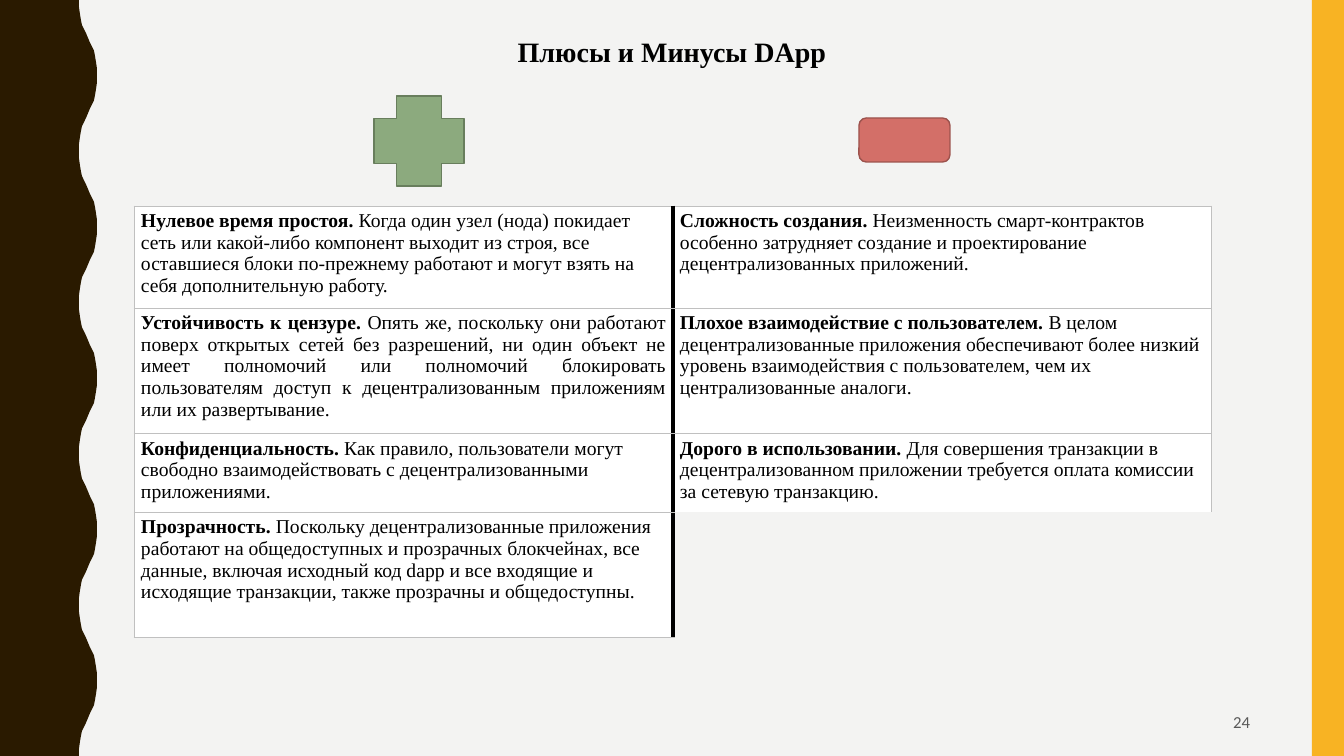
from lxml.etree import SubElement
from pptx import Presentation
from pptx.dml.color import RGBColor
from pptx.enum.shapes import MSO_SHAPE
from pptx.enum.text import MSO_ANCHOR, MSO_AUTO_SIZE, PP_ALIGN
from pptx.oxml.ns import qn
from pptx.util import Emu, Pt

# Content
TITLE = "Плюсы и Минусы DApp"
PAGE_NUMBER = "24"
PROS = [
    ("Нулевое время простоя.", " Когда один узел (нода) покидает сеть или какой-либо компонент выходит из строя, все оставшиеся блоки по-прежнему работают и могут взять на себя дополнительную работу."),
    ("Устойчивость к цензуре. ", "Опять же, поскольку они работают поверх открытых сетей без разрешений, ни один объект не имеет полномочий или полномочий блокировать пользователям доступ к децентрализованным приложениям или их развертывание."),
    ("Конфиденциальность. ", "Как правило, пользователи могут свободно взаимодействовать с децентрализованными приложениями."),
    ("Прозрачность. ", "Поскольку децентрализованные приложения работают на общедоступных и прозрачных блокчейнах, все данные, включая исходный код dapp и все входящие и исходящие транзакции, также прозрачны и общедоступны."),
]
CONS = [
    ("Сложность создания. ", "Неизменность смарт-контрактов особенно затрудняет создание и проектирование децентрализованных приложений."),
    ("Плохое взаимодействие с пользователем. ", "В целом децентрализованные приложения обеспечивают более низкий уровень взаимодействия с пользователем, чем их централизованные аналоги."),
    ("Дорого в использовании. ", "Для совершения транзакции в децентрализованном приложении требуется оплата комиссии за сетевую транзакцию."),
]
JUSTIFIED_ROW = 1

# Geometry in px
WIDTH, HEIGHT = 1344, 756
SCALE = 12192000 / WIDTH
ROW_HEIGHTS = [102, 125, 78, 125]
COLUMN_WIDTH = 539
WAVE_COUNT = 5
WAVE_QUARTER = [(79, 0), (79, 7), (80, 14), (81, 20), (82, 25), (84, 29), (86, 33)]
WAVE_MIDDLE = 88
SERIF = "Times New Roman"
GRID_LINE = ("C0C0C0", 0.75)
DIVIDER = ("000000", 3)


def px(value):
    return Emu(round(value * SCALE))


def box(left, top, width, height):
    return px(left), px(top), px(width), px(height)


def color(value):
    return RGBColor.from_string(value)


def paint(shape, fill, line=None):
    shape.shadow.inherit = False
    shape.fill.solid()
    shape.fill.fore_color.rgb = color(fill)
    if line:
        shape.line.color.rgb = color(line)
        shape.line.width = Pt(1)
    else:
        shape.line.fill.background()


def format_run(run, font_name, size, font_color, bold=False):
    run.font.name = font_name
    run.font.size = Pt(size)
    run.font.color.rgb = color(font_color)
    run.font.bold = bold


def set_borders(cell, left, right, top, bottom):
    properties = cell._tc.get_or_add_tcPr()
    for tag, border in zip(("lnL", "lnR", "lnT", "lnB"), (left, right, top, bottom)):
        line = SubElement(properties, qn(f"a:{tag}"))
        if border:
            line.set("w", str(Pt(border[1])))
            fill = SubElement(line, qn("a:solidFill"))
            SubElement(fill, qn("a:srgbClr")).set("val", border[0])
        else:
            SubElement(line, qn("a:noFill"))


def wave_edge():
    """Points of the wavy edge from top to bottom, in px."""
    period = HEIGHT / WAVE_COUNT
    half = period / 2
    rising = WAVE_QUARTER + [(WAVE_MIDDLE, half / 2)]
    rising += [(2 * WAVE_MIDDLE - x, half - y) for x, y in reversed(WAVE_QUARTER)]
    wave = rising + [(x, period - y) for x, y in reversed(rising[:-1])]
    return [(x, y + period * i) for i in range(WAVE_COUNT) for x, y in wave]


def add_decoration(slide):
    slide.background.fill.solid()
    slide.background.fill.fore_color.rgb = color("F3F3F2")
    builder = slide.shapes.build_freeform(0, 0)
    outline = wave_edge() + [(0, HEIGHT)]
    builder.add_line_segments([(px(x), px(y)) for x, y in outline], close=True)
    paint(builder.convert_to_shape(), "2A1A00")
    side_bar = slide.shapes.add_shape(MSO_SHAPE.RECTANGLE, *box(1312, 0, 32, HEIGHT))
    paint(side_bar, "F8B323")


def add_title(slide):
    title = slide.shapes.title
    title.left, title.top, title.width, title.height = box(0, 29, WIDTH, 44)
    frame = title.text_frame
    frame.text = TITLE
    frame.auto_size = MSO_AUTO_SIZE.NONE
    frame.vertical_anchor = MSO_ANCHOR.TOP
    paragraph = frame.paragraphs[0]
    paragraph.alignment = PP_ALIGN.CENTER
    format_run(paragraph.runs[0], SERIF, 20, "000000", True)


def add_page_number(slide):
    frame = slide.shapes.add_textbox(*box(950, 703, 310, 38)).text_frame
    frame.word_wrap = True
    frame.vertical_anchor = MSO_ANCHOR.MIDDLE
    frame.text = PAGE_NUMBER
    frame.paragraphs[0].alignment = PP_ALIGN.RIGHT
    format_run(frame.paragraphs[0].runs[0], "Calibri", 12, "595959")


def add_signs(slide):
    plus = slide.shapes.add_shape(MSO_SHAPE.CROSS, *box(374, 96, 90, 90))
    paint(plus, "8CAA7E", "687E5D")
    minus = slide.shapes.add_shape(MSO_SHAPE.ROUNDED_RECTANGLE, *box(859, 118, 91, 44))
    paint(minus, "D36F68", "9C524D")


def fill_cell(cell, heading, body):
    cell.fill.solid()
    cell.fill.fore_color.rgb = color("FFFFFF")
    cell.margin_left = cell.margin_right = px(7)
    cell.margin_top = cell.margin_bottom = px(4)
    paragraph = cell.text_frame.paragraphs[0]
    for text, bold in ((heading, True), (body, False)):
        run = paragraph.add_run()
        run.text = text
        format_run(run, SERIF, 14, "000000", bold)


def add_comparison(slide):
    size = box(134, 206, 2 * COLUMN_WIDTH, sum(ROW_HEIGHTS))
    table = slide.shapes.add_table(len(PROS), 2, *size).table
    table.first_row = table.horz_banding = False
    for column in table.columns:
        column.width = px(COLUMN_WIDTH)
    for index, height in enumerate(ROW_HEIGHTS):
        table.rows[index].height = px(height)
        pro, con = table.cell(index, 0), table.cell(index, 1)
        set_borders(pro, GRID_LINE, DIVIDER, GRID_LINE, GRID_LINE)
        fill_cell(pro, *PROS[index])
        if index < len(CONS):
            bottom = GRID_LINE if index < len(CONS) - 1 else None
            set_borders(con, DIVIDER, GRID_LINE, GRID_LINE, bottom)
            fill_cell(con, *CONS[index])
        else:
            set_borders(con, DIVIDER, None, None, None)
            con.fill.background()
    justified = table.cell(JUSTIFIED_ROW, 0).text_frame.paragraphs[0]
    justified.alignment = PP_ALIGN.JUSTIFY


def main():
    presentation = Presentation()
    presentation.slide_width, presentation.slide_height = px(WIDTH), px(HEIGHT)
    slide = presentation.slides.add_slide(presentation.slide_layouts[5])
    add_decoration(slide)
    add_page_number(slide)
    add_signs(slide)
    add_title(slide)
    add_comparison(slide)
    presentation.save("out.pptx")


if __name__ == "__main__":
    main()
